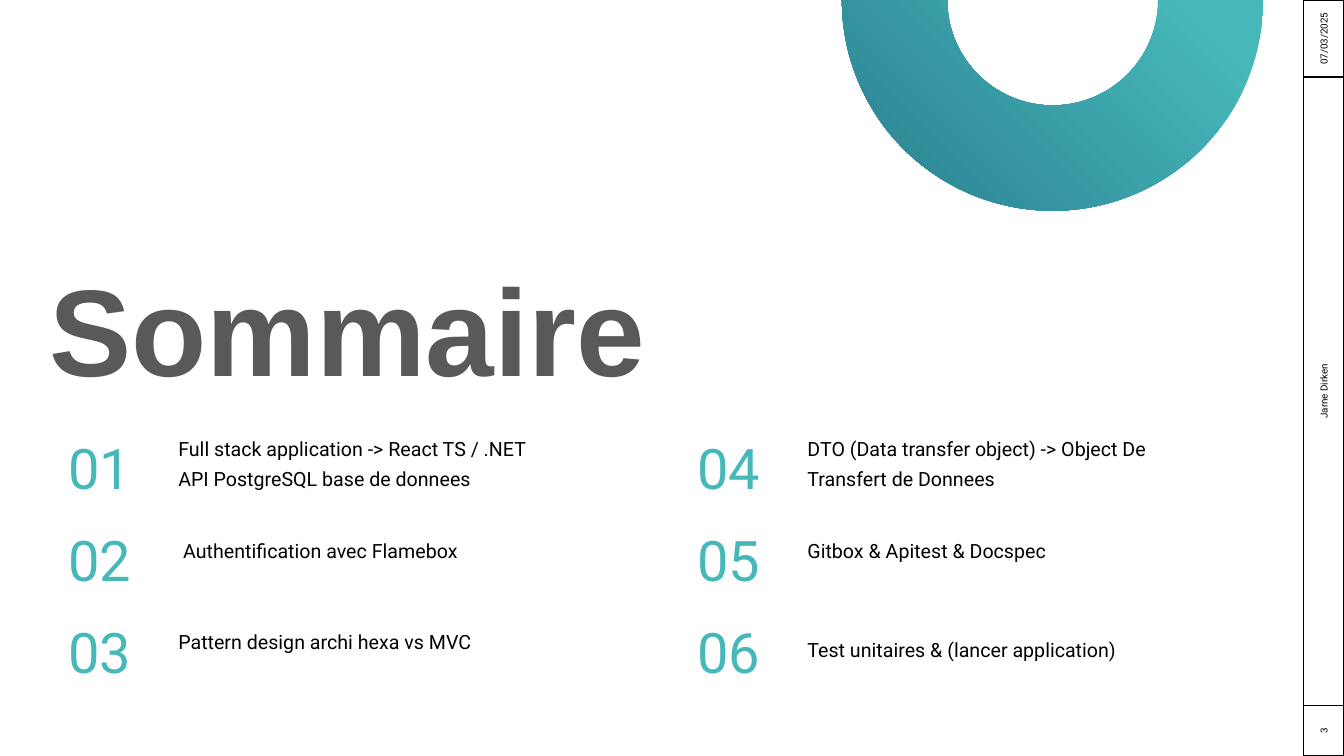
from pptx import Presentation
from pptx.dml.color import RGBColor
from pptx.enum.shapes import MSO_SHAPE as Shape
from pptx.enum.text import MSO_ANCHOR as Anchor, MSO_AUTO_SIZE as AutoSize, PP_ALIGN as Align
from pptx.util import Inches, Pt

TITLE = "Sommaire"
# Each column: left edge, then (text, top, height) for each topic
COLUMNS = [
    (0.48, [
        ("Full stack application -> React TS / .NET API PostgreSQL base de donnees", 4.26, 0.65),
        (" Authentification avec Flamebox", 5.27, 0.34),
        ("Pattern design archi hexa vs MVC", 6.18, 0.34),
    ]),
    (6.72, [
        ("DTO (Data transfer object) -> Object De Transfert de Donnees", 4.26, 0.65),
        ("Gitbox & Apitest & Docspec", 5.27, 0.34),
        ("Test unitaires & (lancer application)", 6.26, 0.34),
    ]),
]
# Side strip from top to bottom: text, top, length
STRIP = [("07/03/2025", 0, 0.77), ("Jarne Dirken", 0.76, 6.24), ("3", 7, 0.5)]

NUMBER_TOP, NUMBER_STEP = 4.11, 0.915
TOPIC_OFFSET = 1.19
STRIP_CENTRE, STRIP_WIDTH = 13.13, 0.4

TEAL = RGBColor(0x47, 0xB8, 0xBA)
DEEP_TEAL = RGBColor(0x2B, 0x7F, 0x91)
GREY = RGBColor(0x59, 0x59, 0x59)
BLACK = RGBColor(0, 0, 0)


def write(shape, text, size, color, font="Roboto", align=Align.LEFT, anchor=Anchor.MIDDLE,
          margins=(0, 0, 0, 0), spacing=1.0, grow=False):
    frame = shape.text_frame
    frame.text = text
    frame.word_wrap = True
    frame.auto_size = AutoSize.SHAPE_TO_FIT_TEXT if grow else AutoSize.NONE
    frame.vertical_anchor = anchor
    (frame.margin_left, frame.margin_top,
     frame.margin_right, frame.margin_bottom) = map(Inches, margins)
    line = frame.paragraphs[0]
    line.alignment = align
    line.line_spacing = spacing
    line.space_before = Pt(0)
    line.font.name = font
    line.font.size = Pt(size)
    line.font.color.rgb = color
    return line


def place(left, top, width, height):
    return [Inches(value) for value in (left, top, width, height)]


prs = Presentation()
prs.slide_width, prs.slide_height = Inches(13.33), Inches(7.5)
slide = prs.slides.add_slide(prs.slide_layouts[5])
shapes = slide.shapes

arc = shapes.add_shape(Shape.BLOCK_ARC, *place(8.35, -2.09, 4.18, 4.18))
arc.rotation = 180
arc.shadow.inherit = False
arc.line.fill.background()
arc.fill.gradient()
arc.fill.gradient_angle = 45
for stop, position, color in zip(arc.fill.gradient_stops, (0.34, 0.99), (TEAL, DEEP_TEAL)):
    stop.position = position
    stop.color.rgb = color

title = shapes.title
title.left, title.top, title.width, title.height = place(0.49, 2.92, 7.46, 0.83)
write(title, TITLE, 88, GREY, font="Arial", spacing=0.9).font.bold = True

number = 0
for left, topics in COLUMNS:
    for row, (topic, top, height) in enumerate(topics):
        number += 1
        topic_box = shapes.add_textbox(*place(left + TOPIC_OFFSET, top, 3.96, height))
        write(topic_box, topic, 14, BLACK, margins=(0.1, 0.02, 0.12, 0.05),
              spacing=1.28, grow=True)
        number_box = shapes.add_textbox(
            *place(left, NUMBER_TOP + row * NUMBER_STEP, 1.02, 0.81))
        write(number_box, f"{number:02}", 40, TEAL, align=Align.CENTER,
              anchor=Anchor.TOP, spacing=1.28, grow=True)

for text, top, length in STRIP:
    # Turned a quarter left, so the length runs down the slide
    cell = shapes.add_shape(Shape.RECTANGLE, *place(
        STRIP_CENTRE - length / 2, top + (length - STRIP_WIDTH) / 2, length, STRIP_WIDTH))
    cell.rotation = 270
    cell.shadow.inherit = False
    cell.fill.background()
    cell.line.color.rgb = BLACK
    cell.line.width = Pt(0.75)
    write(cell, text, 7, BLACK, align=Align.CENTER, margins=(0.1, 0.05, 0.1, 0.05))

prs.save("out.pptx")
